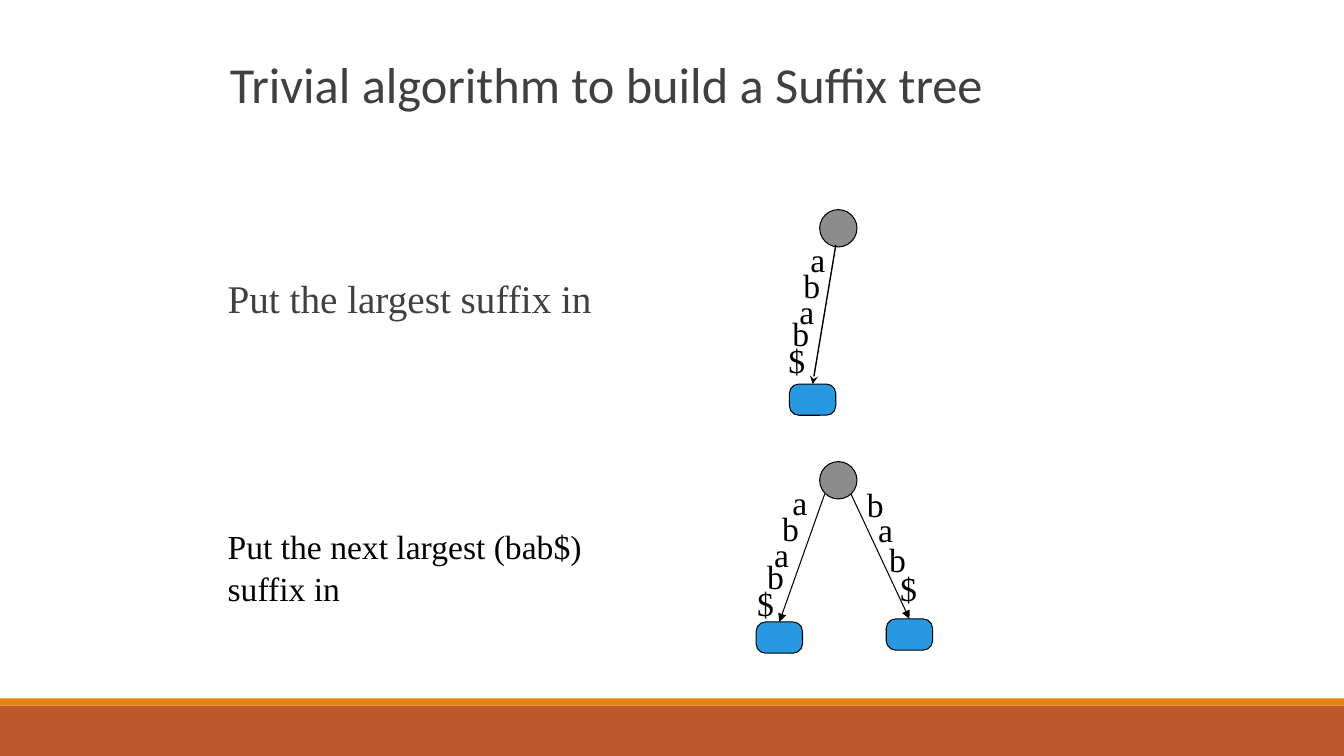
from dataclasses import dataclass

from pptx import Presentation
from pptx.dml.color import RGBColor
from pptx.enum.shapes import MSO_CONNECTOR, MSO_SHAPE
from pptx.enum.text import MSO_ANCHOR, PP_ALIGN
from pptx.oxml.ns import qn
from pptx.util import Inches, Pt
from lxml.etree import SubElement


@dataclass(frozen=True)
class Theme:
    footer: RGBColor = RGBColor(0xBD, 0x58, 0x2C)
    accent: RGBColor = RGBColor(0xE4, 0x83, 0x12)
    root: RGBColor = RGBColor(0x8C, 0x8C, 0x8C)
    leaf: RGBColor = RGBColor(0x29, 0x98, 0xE3)
    ink: RGBColor = RGBColor(0, 0, 0)
    grey: RGBColor = RGBColor(0x40, 0x40, 0x40)
    title_font: str = "Calibri"
    body_font: str = "Times New Roman"
    title_size: Pt = Pt(36)
    step_size: Pt = Pt(28)
    label_size: Pt = Pt(24)


theme = Theme()
presentation = Presentation()
presentation.slide_width = Inches(13.33)
presentation.slide_height = Inches(7.5)
slide = presentation.slides.add_slide(presentation.slide_layouts[5])


def add_box(preset, left, top, width, height, fill, outlined=True):
    shape = slide.shapes.add_shape(
        preset, Inches(left), Inches(top), Inches(width), Inches(height))
    shape.shadow.inherit = False
    shape.fill.solid()
    shape.fill.fore_color.rgb = fill
    if outlined:
        shape.line.color.rgb = theme.ink
        shape.line.width = Pt(0.75)
    else:
        shape.line.fill.background()
    return shape


def add_text(text, left, top, width, height, size, color):
    box = slide.shapes.add_textbox(
        Inches(left), Inches(top), Inches(width), Inches(height))
    box.text_frame.word_wrap = True
    paragraph = box.text_frame.paragraphs[0]
    paragraph.text = text
    paragraph.line_spacing = 1.06
    paragraph.font.name = theme.body_font
    paragraph.font.size = size
    paragraph.font.color.rgb = color


# Footer bars
add_box(MSO_SHAPE.RECTANGLE, 0, 7, 13.33, 0.5, theme.footer, outlined=False)
add_box(MSO_SHAPE.RECTANGLE, 0, 6.93, 13.33, 0.07, theme.accent, outlined=False)

# Title
title = slide.shapes.title
title.left, title.top = Inches(2.18), Inches(0.54)
title.width, title.height = Inches(8.62), Inches(1.45)
title.text_frame.vertical_anchor = MSO_ANCHOR.TOP
paragraph = title.text_frame.paragraphs[0]
paragraph.text = "Trivial algorithm to build a Suffix tree"
paragraph.alignment = PP_ALIGN.LEFT
paragraph.line_spacing = 0.9
paragraph.font.name = theme.title_font
paragraph.font.size = theme.title_size
paragraph.font.color.rgb = theme.grey

# Steps
add_text("Put the largest suffix in", 2.16, 2.64, 3.83, 0.57,
         theme.step_size, theme.grey)
add_text("Put the next largest (bab$) suffix in", 2.16, 5.14, 4.07, 0.91,
         theme.label_size, theme.ink)

# Tree roots
for root_top in (2.08, 4.58):
    add_box(MSO_SHAPE.OVAL, 8.13, root_top, 0.37, 0.37, theme.root)

# Branches: edge start, leaf corner, line width, arrowhead
branches = [
    ((8.29, 2.43), (7.83, 3.81), 1, "stealth"),
    ((8.18, 4.9), (7.5, 6.17), 0.75, "triangle"),
    ((8.44, 4.9), (8.79, 6.14), 0.75, "triangle"),
]
for (start_x, start_y), (leaf_left, leaf_top), line_width, arrowhead in branches:
    leaf = add_box(MSO_SHAPE.ROUNDED_RECTANGLE, leaf_left, leaf_top,
                   0.46, 0.31, theme.leaf)
    leaf.adjustments[0] = 0.3
    edge = slide.shapes.add_connector(
        MSO_CONNECTOR.STRAIGHT, Inches(start_x), Inches(start_y),
        Inches(leaf_left + 0.23), Inches(leaf_top))
    edge.end_connect(leaf, 0)
    edge.line.color.rgb = theme.ink
    edge.line.width = Pt(line_width)
    SubElement(edge.line._get_or_add_ln(), qn("a:tailEnd"), type=arrowhead)
    SubElement(edge._element.spPr, qn("a:effectLst"))

# Edge labels: suffix, top of the first letter, left of each letter, drop of each
long_drops = (0, 0.26, 0.51, 0.73, 1)
short_drops = (0, 0.25, 0.54, 0.83)
edge_labels = [
    ("abab$", 2.3, (7.94, 7.87, 7.83, 7.76, 7.72), long_drops),
    ("abab$", 4.71, (7.76, 7.66, 7.58, 7.51, 7.41), long_drops),
    ("bab$", 4.73, (8.5, 8.61, 8.72, 8.83), short_drops),
]
for suffix, top, lefts, drops in edge_labels:
    for letter, left, drop in zip(suffix, lefts, drops):
        add_text(letter, left, top + drop, 0.42, 0.5, theme.label_size, theme.ink)

presentation.save("out.pptx")
